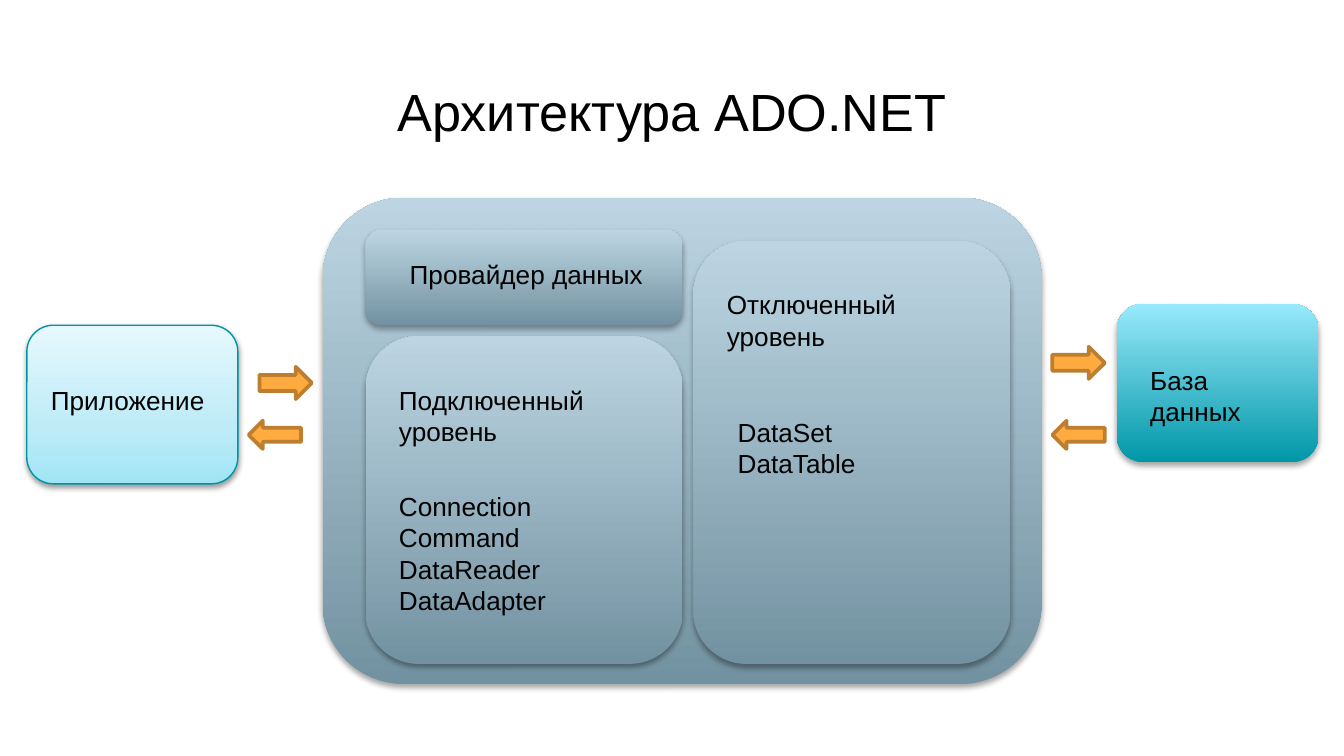
from dataclasses import dataclass

from lxml import etree
from pptx import Presentation
from pptx.dml.color import RGBColor
from pptx.enum.shapes import MSO_SHAPE
from pptx.enum.text import MSO_ANCHOR, PP_ALIGN
from pptx.oxml.ns import qn
from pptx.util import Inches, Pt

ROUNDED = MSO_SHAPE.ROUNDED_RECTANGLE
ARROW = MSO_SHAPE.RIGHT_ARROW
TOP = MSO_ANCHOR.TOP
CENTER = PP_ALIGN.CENTER
TITLE_ONLY = 5


@dataclass(frozen=True)
class Theme:
    """Colours, gradients (bottom to top) and type sizes of the slide."""
    font: str = "Arial"
    title_size: int = 28
    body_size: int = 14
    text: str = "000000"
    arrow_fill: str = "FFAB40"
    arrow_line: str = "BD7F2F"
    application_line: str = "0094A3"
    application: tuple = ((0, "A0E5F5"), (35, "BEEBF7"), (100, "E5F8FD"))
    database: tuple = ((0, "0097A7"), (100, "99E9FC"))
    panel: tuple = ((0, "7392A1"), (100, "BDD5E2"))


THEME = Theme()


def color(value):
    """Turn a hex string into a colour."""
    return RGBColor.from_string(value)


def inches(box):
    """Turn left, top, width, height into lengths."""
    return [Inches(value) for value in box]


def inside(box, left, top, width, height):
    """Return a box offset from the corner of another one."""
    return box[0] + left, box[1] + top, width, height


def write_lines(frame, lines, size, alignment=None):
    """Write one paragraph per line in the theme font."""
    frame.text = "\n".join(lines)
    formats = {"name": THEME.font, "size": Pt(size), "bold": False}
    for paragraph in frame.paragraphs:
        paragraph.alignment = alignment
        for run in paragraph.runs:
            for name, value in formats.items():
                setattr(run.font, name, value)
            run.font.color.rgb = color(THEME.text)


def add_label(slide, box, *lines):
    """Add a wrapping text box."""
    frame = slide.shapes.add_textbox(*inches(box)).text_frame
    frame.word_wrap = True
    write_lines(frame, lines, THEME.body_size)


def add_color(parent, value):
    """Append a colour element and return it."""
    return etree.SubElement(parent, qn("a:srgbClr"), val=value)


def add_card(slide, box, stops, line=None, opacity=35, distance=1.8):
    """Add a rounded card with a vertical gradient and a soft shadow."""
    shape = slide.shapes.add_shape(ROUNDED, *inches(box))
    shape.fill.gradient()
    shape.fill.gradient_angle = 90
    properties = shape.element.spPr
    stop_list = properties.find(".//" + qn("a:gsLst"))
    for stop in list(stop_list):
        stop_list.remove(stop)
    for position, value in stops:
        stop = etree.SubElement(stop_list, qn("a:gs"), pos=str(position * 1000))
        add_color(stop, value)
    if line:
        shape.line.color.rgb = color(line)
        shape.line.width = Pt(0.75)
    else:
        shape.line.fill.background()
    shape.shadow.inherit = False
    shadow = etree.SubElement(
        properties.find(qn("a:effectLst")), qn("a:outerShdw"),
        blurRad=str(Pt(3.1)), dist=str(Pt(distance)), dir="5400000", rotWithShape="0")
    etree.SubElement(add_color(shadow, "000000"), qn("a:alpha"), val=str(opacity * 1000))


def add_arrow(slide, box, rotation=0):
    """Add one block arrow."""
    shape = slide.shapes.add_shape(ARROW, *inches(box))
    shape.rotation = rotation
    shape.shadow.inherit = False
    shape.fill.solid()
    shape.fill.fore_color.rgb = color(THEME.arrow_fill)
    shape.line.color.rgb = color(THEME.arrow_line)
    shape.line.width = Pt(2)


def add_exchange(slide, request, reply):
    """Add a pair of opposite arrows at the given left, top corners."""
    add_arrow(slide, (*request, 0.39, 0.24))
    add_arrow(slide, (*reply, 0.39, 0.21), rotation=180)


def add_title(slide, box, text):
    """Place and format the title placeholder."""
    title = slide.shapes.title
    for name, value in zip(("left", "top", "width", "height"), inches(box)):
        setattr(title, name, value)
    frame = title.text_frame
    for side in ("left", "top", "right", "bottom"):
        setattr(frame, "margin_" + side, Inches(0.1))
    frame.vertical_anchor = TOP
    write_lines(frame, [text], THEME.title_size, CENTER)


def add_application(slide, box):
    """Add the application card."""
    add_card(slide, box, THEME.application, THEME.application_line, 38, 1.6)
    add_label(slide, inside(box, 0.08, 0.39, 1.42, 0.34), "Приложение")


def add_database(slide, box):
    """Add the database card."""
    add_card(slide, box, THEME.database)
    add_label(slide, inside(box, 0.15, 0.4, 1.34, 0.57), "База данных")


def add_library(slide, box):
    """Add the large panel with the provider and the two levels."""
    connected = inside(box, 0.32, 1.03, 2.36, 2.44)
    disconnected = inside(box, 2.76, 0.32, 2.36, 3.15)
    provider = inside(box, 0.32, 0.24, 2.36, 0.71)
    for card in (box, connected, disconnected, provider):
        add_card(slide, card, THEME.panel)
    add_label(slide, inside(provider, 0.23, 0.16, 2.05, 0.34), "Провайдер данных")
    for card, name in ((disconnected, "Отключенный уровень"),
                       (connected, "Подключенный уровень")):
        add_label(slide, inside(card, 0.15, 0.31, 2.05, 0.57), name)
    add_label(slide, inside(connected, 0.15, 1.1, 2.05, 1.04),
              "Connection", "Command", "DataReader", "DataAdapter")
    add_label(slide, inside(disconnected, 0.23, 1.26, 1.89, 0.57),
              "DataSet", "DataTable")


def build():
    """Build and save the presentation."""
    presentation = Presentation()
    presentation.slide_width = Inches(10)
    presentation.slide_height = Inches(10) * 9 // 16
    slide = presentation.slides.add_slide(presentation.slide_layouts[TITLE_ONLY])
    add_title(slide, (0.34, 0.49, 9.32, 0.63), "Архитектура ADO.NET")
    add_application(slide, (0.2, 2.42, 1.57, 1.18))
    add_database(slide, (8.31, 2.26, 1.5, 1.18))
    add_library(slide, (2.4, 1.47, 5.35, 3.62))
    add_exchange(slide, (1.93, 2.73), (1.85, 3.13))
    add_exchange(slide, (7.83, 2.58), (7.83, 3.13))
    presentation.save("out.pptx")


build()
